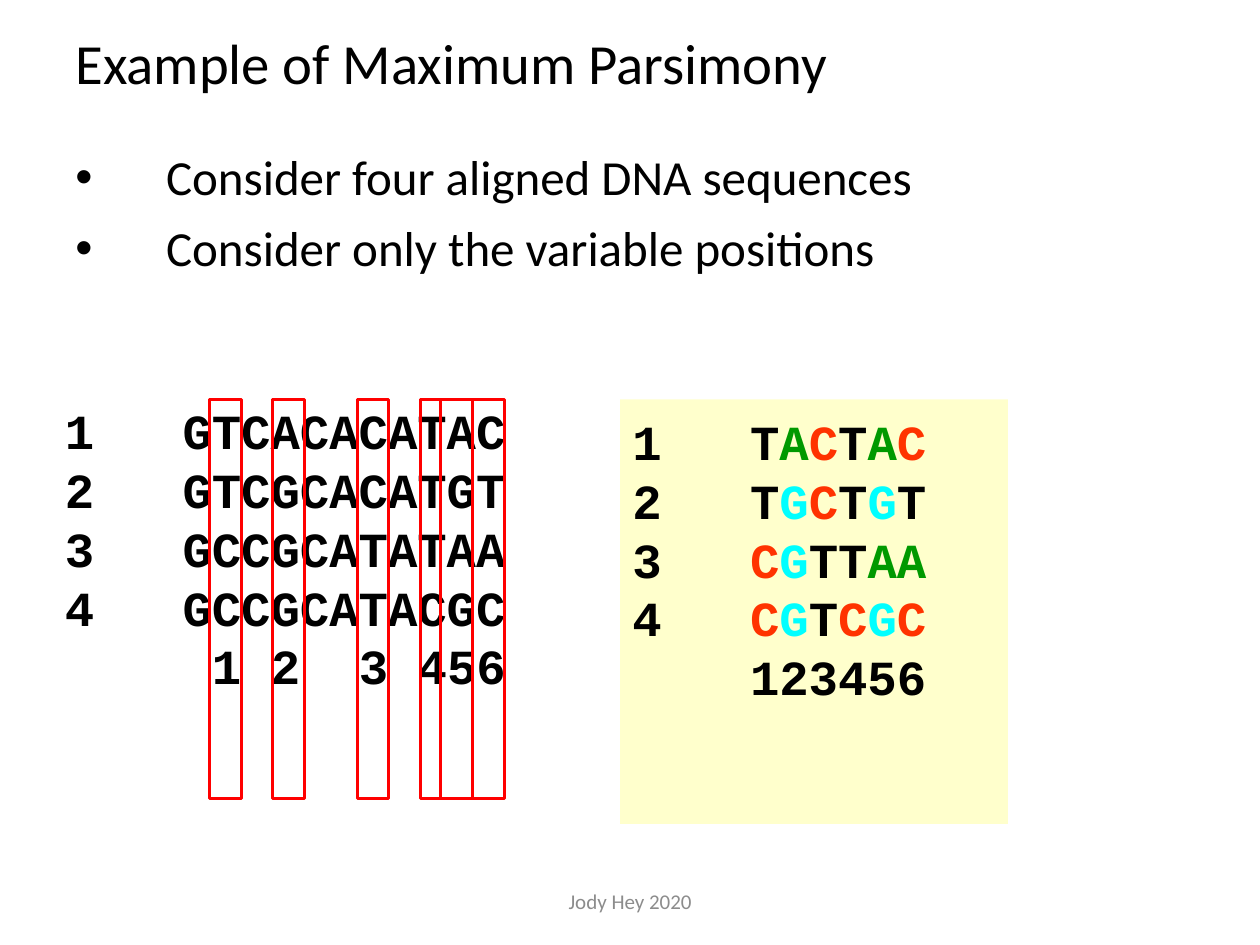
from dataclasses import dataclass
from itertools import groupby

import pptx
import pptx.dml.color
import pptx.enum.shapes
import pptx.enum.text
import pptx.oxml.ns
import pptx.util
from lxml import etree
from pptx.util import Cm, Pt

RGB = pptx.dml.color.RGBColor
Align = pptx.enum.text.PP_ALIGN
Anchor = pptx.enum.text.MSO_ANCHOR
RECTANGLE = pptx.enum.shapes.MSO_SHAPE.RECTANGLE


@dataclass(frozen=True)
class Theme:
    text_face: str = "Calibri"
    mono_face: str = "Courier New"
    title_size: float = 32.4
    body_size: float = 28
    footer_size: float = 12
    mono_line: float = 33.6
    mono_advance: float = 16.8
    ink: RGB = RGB(0, 0, 0)
    footer: RGB = RGB(0x8C, 0x8C, 0x8C)
    frame: RGB = RGB(0xFF, 0, 0)
    panel: RGB = RGB(0xFF, 0xFF, 0)
    panel_opacity: int = 20


@dataclass(frozen=True)
class Box:
    left: float
    top: float
    width: float
    height: float

    def lengths(self) -> tuple:
        return Cm(self.left), Cm(self.top), Cm(self.width), Cm(self.height)


@dataclass(frozen=True)
class Row:
    text: str
    tab_columns: tuple


THEME = Theme()
BASE_COLORS = {"A": RGB(0, 0x99, 0), "C": RGB(0xFF, 0x33, 0), "G": RGB(0, 0xFF, 0xFF)}
SEQUENCES = ("GTCACACATAC", "GTCGCACATGT", "GCCGCATATAA", "GCCGCATACGC")
SEQUENCE_COLUMN = 4
FRAME_TOP, FRAME_HEIGHT = 8.05, 8.05
FRAMES = ((4.23, 0.64), (5.5, 0.64), (7.2, 0.64), (8.47, 0.42), (8.89, 0.64), (9.53, 0.64))


def add_ppr_child(paragraph, tag: str, **attributes: str):
    properties = paragraph._p.get_or_add_pPr()
    return etree.SubElement(properties, pptx.oxml.ns.qn(tag), attributes)


def set_font(font, face: str, size: float, color=None, bold: bool = False) -> None:
    font.name, font.size, font.bold = face, Pt(size), bold
    if color is not None:
        font.color.rgb = color


def add_text(slide, box: Box, lines: tuple, size: float, color: RGB, anchor=Anchor.TOP,
             align=Align.LEFT, line_spacing: float = 1.0, bulleted: bool = False) -> None:
    frame = slide.shapes.add_textbox(*box.lengths()).text_frame
    frame.word_wrap, frame.vertical_anchor = True, anchor
    for index, line in enumerate(lines):
        paragraph = frame.add_paragraph() if index else frame.paragraphs[0]
        paragraph.text = line
        if bulleted:
            properties = paragraph._p.get_or_add_pPr()
            properties.set("marL", str(Cm(1.83)))
            properties.set("indent", str(-Cm(1.83)))
            add_ppr_child(paragraph, "a:buFont", typeface="Arial")
            add_ppr_child(paragraph, "a:buChar", char="•")
        paragraph.alignment, paragraph.line_spacing = align, line_spacing
        if index:
            paragraph.space_before = Pt(10)
        set_font(paragraph.font, THEME.text_face, size, color)


def fill_alignment(frame, rows: list, colored: bool) -> None:
    """Write monospaced rows, with tab stops at whole character columns."""
    frame.word_wrap, frame.vertical_anchor = True, Anchor.TOP
    frame.margin_top = Cm(0.25)
    for index, row in enumerate(rows):
        paragraph = frame.add_paragraph() if index else frame.paragraphs[0]
        tabs = add_ppr_child(paragraph, "a:tabLst")
        for column in row.tab_columns:
            position = Pt(column * THEME.mono_advance)
            etree.SubElement(tabs, pptx.oxml.ns.qn("a:tab"), pos=str(position), algn="l")
        paragraph.alignment = Align.LEFT
        paragraph.line_spacing = Pt(THEME.mono_line)
        set_font(paragraph.font, THEME.mono_face, THEME.body_size, THEME.ink, bold=True)
        if not colored:
            paragraph.add_run().text = row.text
            continue
        for color, letters in groupby(row.text, lambda c: BASE_COLORS.get(c, THEME.ink)):
            run = paragraph.add_run()
            run.text = "".join(letters)
            run.font.color.rgb = color


def sequence_rows(sequences: list) -> list:
    return [Row(f"{number}\t{bases}", (SEQUENCE_COLUMN,))
            for number, bases in enumerate(sequences, 1)]


def site_number_row(sites: list) -> Row:
    """Number the sites, with a tab wherever a site does not follow its neighbour."""
    starts = [site for site in sites if site - 1 not in sites]
    text = "".join(("\t" if site in starts else "") + str(number)
                   for number, site in enumerate(sites, 1))
    return Row(text, tuple(SEQUENCE_COLUMN + site for site in starts))


def add_site_frames(slide) -> None:
    group = slide.shapes.add_group_shape()
    for left, width in FRAMES:
        box = Box(left, FRAME_TOP, width, FRAME_HEIGHT)
        site_frame = group.shapes.add_shape(RECTANGLE, *box.lengths())
        site_frame.shadow.inherit = False
        site_frame.fill.background()
        site_frame.line.color.rgb, site_frame.line.width = THEME.frame, Pt(1.75)


def add_panel(slide, box: Box):
    panel = slide.shapes.add_shape(RECTANGLE, *box.lengths())
    panel.shadow.inherit = False
    panel.fill.solid()
    panel.fill.fore_color.rgb = THEME.panel
    color = panel.fill._xPr.find(".//" + pptx.oxml.ns.qn("a:srgbClr"))
    etree.SubElement(color, pptx.oxml.ns.qn("a:alpha"), val=str(THEME.panel_opacity * 1000))
    panel.line.fill.background()
    return panel


def main() -> None:
    deck = pptx.Presentation()
    deck.slide_width, deck.slide_height = Cm(25.4), Cm(19.05)
    slide = deck.slides.add_slide(deck.slide_layouts[6])

    add_text(slide, Box(1.27, 0.76, 22.86, 1.14), ("Example of Maximum Parsimony",),
             THEME.title_size, THEME.ink, anchor=Anchor.MIDDLE, line_spacing=0.9)
    add_text(slide, Box(1.27, 2.97, 22.86, 5.08),
             ("Consider four aligned DNA sequences", "Consider only the variable positions"),
             THEME.body_size, THEME.ink, line_spacing=0.9, bulleted=True)

    sites = [i for i, bases in enumerate(zip(*SEQUENCES)) if len(set(bases)) > 1]
    alignment = slide.shapes.add_textbox(*Box(1.06, 7.83, 10.59, 8.56).lengths())
    fill_alignment(alignment.text_frame,
                   sequence_rows(SEQUENCES) + [site_number_row(sites)], colored=False)
    add_site_frames(slide)

    variable = ["".join(bases[site] for site in sites) for bases in SEQUENCES]
    panel = add_panel(slide, Box(12.5, 8.05, 7.82, 8.56))
    fill_alignment(panel.text_frame,
                   sequence_rows(variable) + [site_number_row(list(range(len(sites))))],
                   colored=True)

    add_text(slide, Box(8.41, 17.65, 8.59, 1.02), ("Jody Hey 2020",), THEME.footer_size,
             THEME.footer, anchor=Anchor.MIDDLE, align=Align.CENTER)
    deck.save("out.pptx")


if __name__ == "__main__":
    main()
